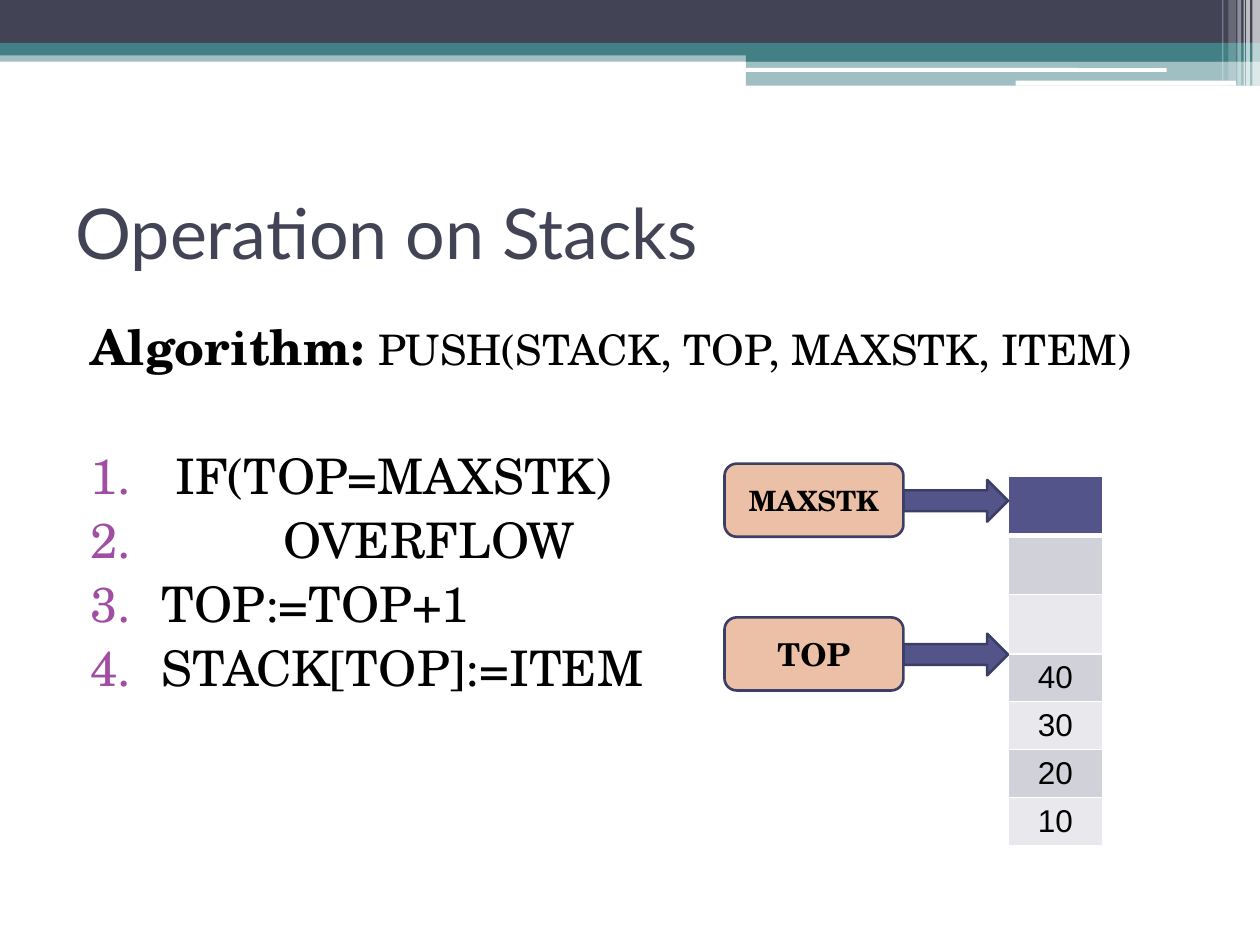
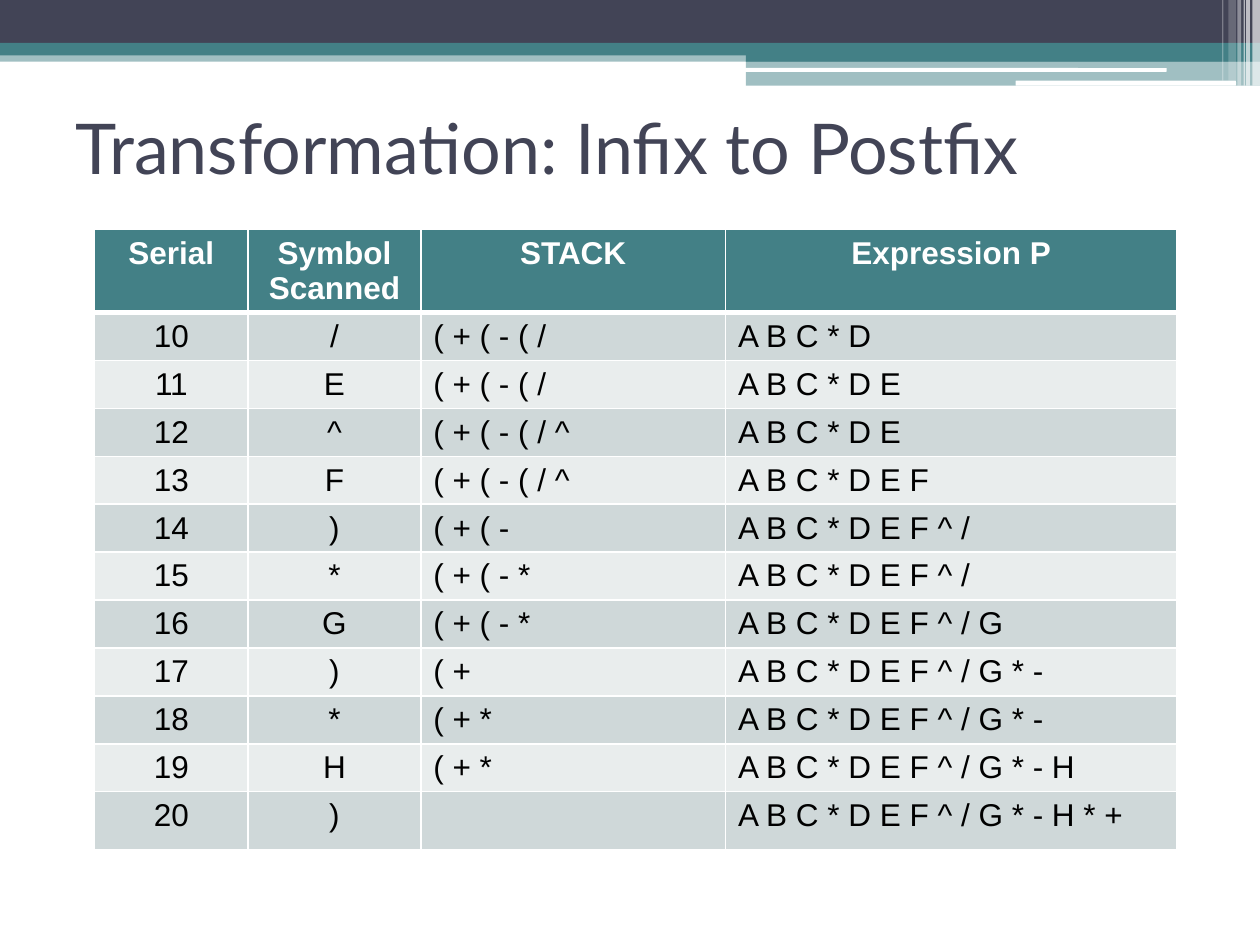
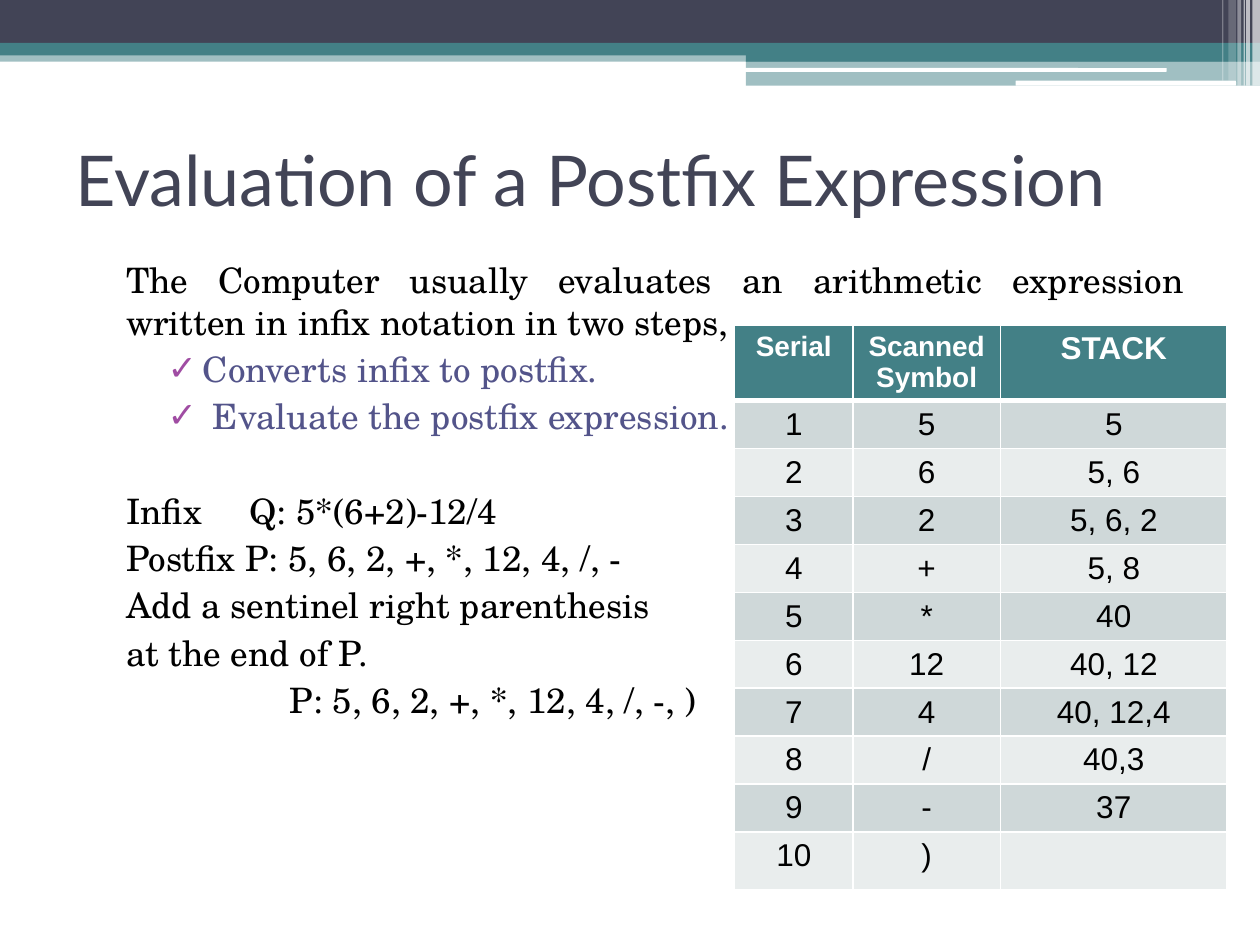
from lxml import etree
from pptx import Presentation
from pptx import util as u
from pptx.dml.color import RGBColor
from pptx.enum import shapes, text
from pptx.oxml.ns import qn

PX = 9144  # EMU per px, 100 px to the inch
NAVY, TEAL, WHITE, BLACK = "424456", "438086", "FFFFFF", "000000"
INDIGO, EDGE, PEACH, PURPLE = "53548A", "3D3E66", "EBC0A7", "A04DA3"
TEAL_ROWS, INDIGO_ROWS = ("CFD8D9", "E9EDED"), ("D1D1DA", "E9E9ED")
TITLE_FONT, BODY_FONT, TABLE_FONT = "Lato", "TeX Gyre Schola", "Arial"
LEFT, CENTER, JUSTIFY = (text.PP_ALIGN.LEFT, text.PP_ALIGN.CENTER,
                         text.PP_ALIGN.JUSTIFY)
SHAPE = shapes.MSO_SHAPE


def rgb(color):
    return RGBColor.from_string(color)


def px(*lengths):
    return [u.Emu(n * PX) for n in lengths]


def child(parent, tag, **attrs):
    el = etree.SubElement(parent, qn(tag))
    for name, value in attrs.items():
        el.set(name, str(value))
    return el


class Deck:
    def __init__(self):
        self.prs = Presentation()
        self.prs.slide_width, self.prs.slide_height = px(1000, 750)
        self.s = None

    def slide(self, title, top, layout):
        self.s = self.prs.slides.add_slide(self.prs.slide_layouts[layout])
        tf = self.place(self.s.shapes.title, 50, top, 900, 117)
        tf.vertical_anchor = text.MSO_ANCHOR.MIDDLE
        tf.paragraphs[0].alignment = LEFT
        self.run(tf.paragraphs[0], title, 40, TITLE_FONT, NAVY)

    def place(self, holder, *box):
        holder.left, holder.top, holder.width, holder.height = px(*box)
        holder.text_frame.auto_size = text.MSO_AUTO_SIZE.NONE
        return holder.text_frame

    def run(self, p, words, size, font, color=BLACK, bold=False):
        r = p.add_run()
        r.text = words
        r.font.size, r.font.name, r.font.bold = u.Pt(size), font, bold
        r.font.color.rgb = rgb(color)

    def body(self, box, paragraphs, align=LEFT):
        """Each paragraph is (runs, margin, indent, space before, bullet)."""
        tf = self.place(self.s.placeholders[1], *box)
        for i, (runs, margin, indent, before, bullet) in enumerate(paragraphs):
            p = tf.add_paragraph() if i else tf.paragraphs[0]
            p.alignment, p.space_before = align, u.Pt(before)
            p.level = 1 if bullet == "✓" else 0
            pPr = p._p.get_or_add_pPr()
            pPr.set("marL", str(margin * PX))
            pPr.set("indent", str(indent * PX))
            if bullet:
                child(child(pPr, "a:buClr"), "a:srgbClr", val=PURPLE)
            if bullet == "✓":
                child(pPr, "a:buChar", char=bullet)
            elif bullet:
                child(pPr, "a:buAutoNum", type=bullet)
            else:
                child(pPr, "a:buNone")
            for words, size, color, bold in runs:
                self.run(p, words, size, BODY_FONT, color, bold)

    def shape(self, kind, box, fill, line=None, alpha=100):
        sp = self.s.shapes.add_shape(kind, *px(*box))
        sp.shadow.inherit = False
        sp.fill.solid()
        sp.fill.fore_color.rgb = rgb(fill)
        if alpha < 100:
            color = sp.element.spPr.find(".//" + qn("a:srgbClr"))
            child(color, "a:alpha", val=alpha * 1000)
        if line:
            sp.line.color.rgb, sp.line.width = rgb(line), u.Pt(1.5)
        else:
            sp.line.fill.background()
        return sp

    def pointer(self, label, size, top):
        """A labelled box with an arrow to the stack."""
        self.shape(SHAPE.RIGHT_ARROW, (717, top + 13, 83, 33), INDIGO, EDGE)
        tf = self.shape(SHAPE.ROUNDED_RECTANGLE, (575, top, 142, 58),
                        PEACH, EDGE).text_frame
        tf.vertical_anchor = text.MSO_ANCHOR.MIDDLE
        tf.paragraphs[0].alignment = CENTER
        self.run(tf.paragraphs[0], label, size, BODY_FONT, bold=True)

    def table(self, corner, widths, heights, rows, head, bands,
              aligns, head_sizes):
        frame = self.s.shapes.add_table(
            len(rows), len(widths), *px(*corner, sum(widths), sum(heights)))
        for col, width in zip(frame.table.columns, px(*widths)):
            col.width = width
        for row, height in zip(frame.table.rows, px(*heights)):
            row.height = height
        for i, row in enumerate(rows):
            for j, words in enumerate(row):
                cell = frame.table.cell(i, j)
                self.borders(cell, heading=i == 0)
                cell.fill.solid()
                cell.fill.fore_color.rgb = rgb(bands[(i - 1) % 2] if i else head)
                p = cell.text_frame.paragraphs[0]
                p.alignment = aligns[j] if i else CENTER
                if words:
                    self.run(p, words, 18 if i else head_sizes[j], TABLE_FONT,
                             BLACK if i else WHITE, i == 0)

    def borders(self, cell, heading):
        tcPr = cell._tc.get_or_add_tcPr()
        for side in "LRTB":
            width = 3 if heading and side == "B" else 1
            ln = child(tcPr, "a:ln" + side, w=u.Pt(width))
            child(child(ln, "a:solidFill"), "a:srgbClr", val=WHITE)

    def master_bands(self):
        """Draw the header bands and move them to the slide master."""
        rect, rounded = SHAPE.RECTANGLE, SHAPE.ROUNDED_RECTANGLE
        bands = [
            (rect, (0, 40, 1000, 9), TEAL, 50),
            (rect, (0, 0, 1000, 34), NAVY, 100),
            (rect, (0, 34, 1000, 10), TEAL, 100),
            (rect, (592, 39, 408, 10), TEAL, 100),
            (rect, (592, 48, 408, 20), TEAL, 50),
            (rounded, (591, 54, 335, 3), WHITE, 100),
            (rounded, (806, 64, 175, 4), WHITE, 100),
        ]
        stripes = [(994, 6, 68, 65), (989, 3, 68, 65), (987, 1, 68, 60),
                   (982, 3, 68, 40), (975, 6, 64, 20), (970, 1, 64, 30)]
        bands += [(rect, (x, 0, w, h), WHITE, alpha)
                  for x, w, h, alpha in stripes]
        tree = self.prs.slide_master.shapes.element
        for number, (kind, box, fill, alpha) in enumerate(bands, 100):
            sp = self.shape(kind, box, fill, alpha=alpha)
            sp.element.nvSpPr.cNvPr.set("id", str(number))
            tree.append(sp.element)


def push_slide(deck):
    deck.slide("Operation on Stacks", 125, layout=1)
    deck.master_bands()

    # Algorithm
    steps = [("IF(TOP=MAXSTK)", 79, 40), ("OVERFLOW", 165, 3),
             ("TOP:=TOP+1", 68, 3), ("STACK[TOP]:=ITEM", 68, 3)]
    heading = [("Algorithm: ", 28, BLACK, True),
               ("PUSH(STACK, TOP, MAXSTK, ITEM)", 24, BLACK, False)]
    deck.body((50, 246, 900, 473), [(heading, 40, -28, 3, None)] + [
        ([(step, 28, BLACK, False)], margin, 12 - margin, before,
         "arabicPeriod") for step, margin, before in steps])

    # Stack and its pointers
    stack = ["", "", "", "40", "30", "20", "10"]
    deck.table((800, 378), [75], [47] * 3 + [38] * 4, [[v] for v in stack],
               INDIGO, INDIGO_ROWS, [CENTER], [18])
    deck.pointer("TOP", 18, 490)
    deck.pointer("MAXSTK", 16, 368)


def transformation_slide(deck):
    deck.slide("Transformation: Infix to Postfix", 58, layout=5)
    steps = [
        ("/", "( + ( - ( /", "A B C * D"),
        ("E", "( + ( - ( /", "A B C * D E"),
        ("^", "( + ( - ( / ^", "A B C * D E"),
        ("F", "( + ( - ( / ^", "A B C * D E F"),
        (")", "( + ( -", "A B C * D E F ^ /"),
        ("*", "( + ( - *", "A B C * D E F ^ /"),
        ("G", "( + ( - *", "A B C * D E F ^ / G"),
        (")", "( +", "A B C * D E F ^ / G * -"),
        ("*", "( + *", "A B C * D E F ^ / G * -"),
        ("H", "( + *", "A B C * D E F ^ / G * - H"),
        (")", "", "A B C * D E F ^ / G * - H * +"),
    ]
    rows = [("Serial", "Symbol Scanned", "STACK", "Expression P")]
    rows += [(str(n), *step) for n, step in enumerate(steps, 10)]
    deck.table((75, 182), [122, 137, 242, 358], [65] + [38] * 10 + [46], rows,
               TEAL, TEAL_ROWS, [CENTER, CENTER, LEFT, LEFT], [18] * 4)


def evaluation_slide(deck):
    deck.slide("Evaluation of a Postfix Expression", 83, layout=1)

    # Explanation
    lines = [
        ("The Computer usually evaluates an arithmetic expression written in "
         "infix notation in two steps,", 40, 0, 3, None),
        ("Converts infix to postfix.", 101, -28, 3, "✓"),
        ("Evaluate the postfix expression.", 109, -36, 3, "✓"),
        ("Infix\tQ: 5*(6+2)-12/4", 138, -98, 30, None),
        ("Postfix P: 5, 6, 2, +, *, 12, 4, /, -", 40, 0, 3, None),
        ("Add a sentinel right parenthesis", 40, 0, 3, None),
        ("at the end of P.", 40, 0, 3, None),
        ("P: 5, 6, 2, +, *, 12, 4, /, -, )", 170, 0, 3, None),
    ]
    deck.body((50, 200, 900, 525), [
        ([(words, 20, INDIGO if bullet else BLACK, False)],
         margin, indent, before, bullet)
        for words, margin, indent, before, bullet in lines], JUSTIFY)

    # Evaluation steps
    steps = [("5", "5"), ("6", "5, 6"), ("2", "5, 6, 2"), ("+", "5, 8"),
             ("*", "40"), ("12", "40, 12"), ("4", "40, 12,4"),
             ("/", "40,3"), ("-", "37"), (")", "")]
    rows = [("Serial", "Scanned Symbol", "STACK")]
    rows += [(str(n), *step) for n, step in enumerate(steps, 1)]
    deck.table((583, 258), [94, 117, 180], [60] + [38] * 9 + [46], rows,
               TEAL, TEAL_ROWS, [CENTER] * 3, [16, 16, 18])


def main():
    deck = Deck()
    push_slide(deck)
    transformation_slide(deck)
    evaluation_slide(deck)
    deck.prs.save("out.pptx")


if __name__ == "__main__":
    main()
